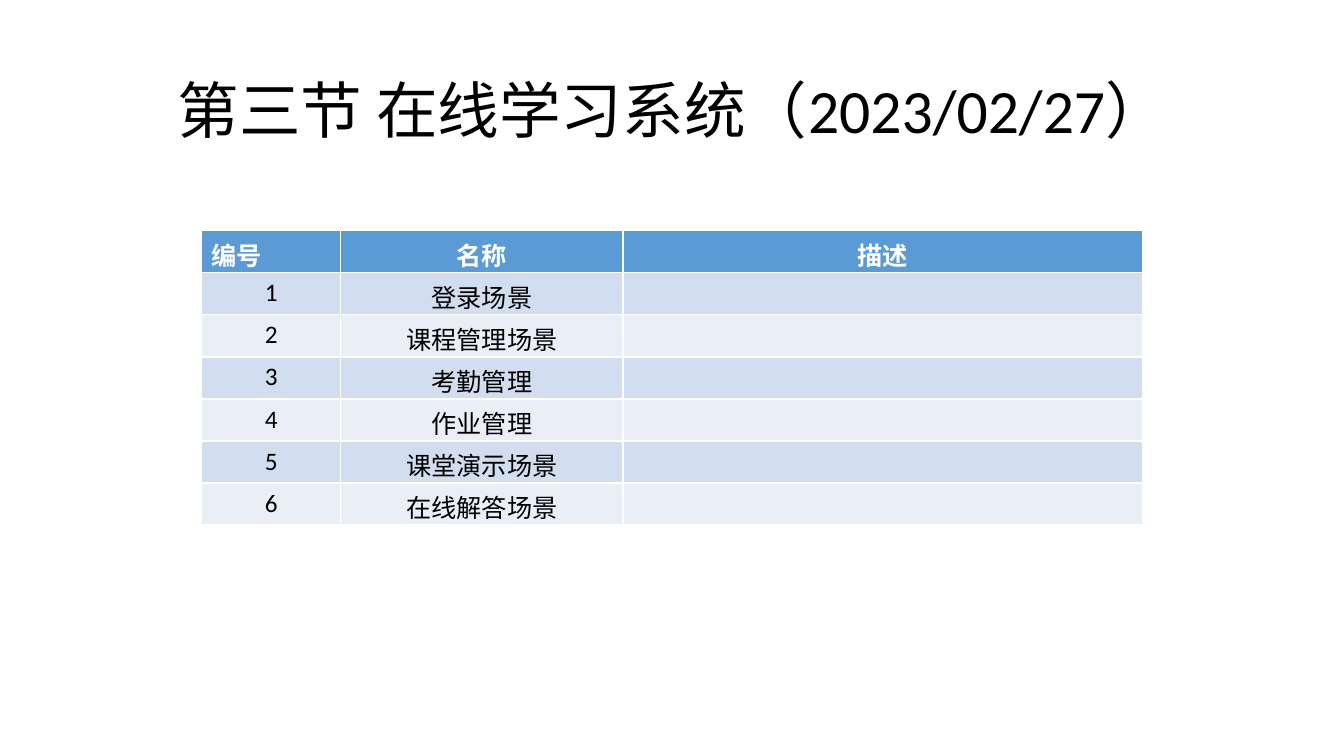
from pptx import Presentation
from pptx.dml.color import RGBColor
from pptx.enum.text import MSO_ANCHOR, PP_ALIGN
from pptx.util import Inches, Pt

FONT = "Calibri"
COLORS = {"text": "000000", "header_text": "FFFFFF", "header": "5B9BD5",
          "odd": "D2DEEF", "even": "EAEFF7"}
HEADINGS = ["编号", "名称", "描述"]
SCENES = ["登录场景", "课程管理场景", "考勤管理", "作业管理", "课堂演示场景", "在线解答场景"]
COLUMN_WIDTHS = [1.38, 2.8, 5.15]


def color(name):
    """Return the named colour."""
    return RGBColor.from_string(COLORS[name])


def format_text(p, size, name, bold=False, align=PP_ALIGN.CENTER):
    """Format a paragraph and its runs."""
    p.alignment = align
    for r in p.runs:
        r.font.name = FONT
        r.font.size = Pt(size)
        r.font.bold = bold
        r.font.color.rgb = color(name)


def add_title(s, left, top, width, height):
    """Add the section title, centred in its box."""
    sp = s.shapes.add_textbox(Inches(left), Inches(top), Inches(width), Inches(height))
    tf = sp.text_frame
    tf.word_wrap = True
    tf.vertical_anchor = MSO_ANCHOR.MIDDLE
    tf.text = "第三节 在线学习系统（2023/02/27）"
    p = tf.paragraphs[0]
    p.line_spacing = 0.9
    format_text(p, 44, "text")


def add_scene_table(s, left, top, width, height):
    """Add the numbered table of scenes with banded rows."""
    rows = [HEADINGS] + [[str(n), scene, ""] for n, scene in enumerate(SCENES, 1)]
    table = s.shapes.add_table(len(rows), len(HEADINGS), Inches(left), Inches(top),
                               Inches(width), Inches(height)).table
    for column, share in zip(table.columns, COLUMN_WIDTHS):
        column.width = Inches(width * share / sum(COLUMN_WIDTHS))
    for i, row in enumerate(rows):
        band = "header" if i == 0 else "odd" if i % 2 else "even"
        for j, text in enumerate(row):
            cell = table.cell(i, j)
            cell.fill.solid()
            cell.fill.fore_color.rgb = color(band)
            cell.text_frame.text = text
            format_text(cell.text_frame.paragraphs[0], 18,
                        "header_text" if i == 0 else "text", i == 0,
                        PP_ALIGN.LEFT if i == j == 0 else PP_ALIGN.CENTER)


def main():
    """Build and save the slide."""
    prs = Presentation()
    prs.slide_width = Inches(13.33)
    prs.slide_height = Inches(7.5)
    s = prs.slides.add_slide(prs.slide_layouts[6])
    add_title(s, 0.92, 0.4, 11.5, 1.45)
    add_scene_table(s, 2, 2.29, 9.33, 2.92)
    prs.save("out.pptx")


if __name__ == "__main__":
    main()
